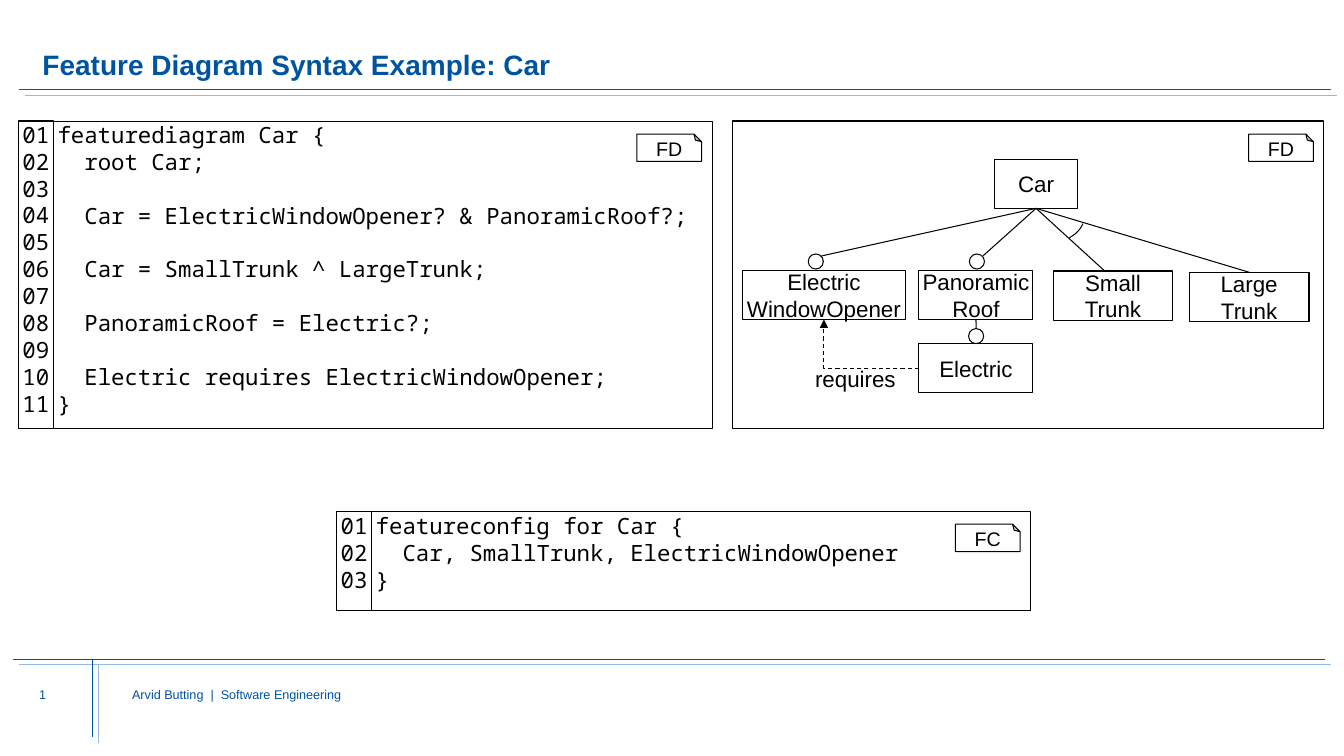
"""Build the slide on feature diagram syntax, with a car as the example."""
from dataclasses import dataclass
from typing import NamedTuple, Optional, Sequence

from lxml.etree import SubElement
from pptx import Presentation
from pptx.dml.color import RGBColor as Rgb
from pptx.enum.dml import MSO_LINE as Dash
from pptx.enum.shapes import MSO_CONNECTOR as Link, MSO_SHAPE as Kind
from pptx.enum.text import MSO_ANCHOR as Anchor, MSO_AUTO_SIZE as Fit, PP_ALIGN as Align
from pptx.oxml.ns import qn
from pptx.util import Cm, Pt

Spot = NamedTuple("Spot", [("x", float), ("y", float)])
Area = NamedTuple("Area", [("x", float), ("y", float), ("w", float), ("h", float)])
Face = NamedTuple("Face", [("font", str), ("size", float), ("color", Rgb), ("bold", bool)])
Node = NamedTuple("Node", [("rows", Sequence[str]), ("x", float), ("y", float), ("w", float)])


class Row(NamedTuple):
    text: str
    depth: int = 0
    gap: int = 0


class Edge(NamedTuple):
    start: str
    end: Spot
    goal: Optional[str] = None


@dataclass(frozen=True)
class Theme:
    blue: Rgb = Rgb(0x00, 0x54, 0x9F)
    light: Rgb = Rgb(0x8E, 0xBA, 0xE5)
    black: Rgb = Rgb(0, 0, 0)
    white: Rgb = Rgb(255, 255, 255)
    head: Face = Face("Arial", 20, blue, True)
    code: Face = Face("Noto Sans Mono", 16, black, False)
    node: Face = Face("Arial", 16, black, False)
    tag: Face = Face("Arial", 14, black, False)
    foot: Face = Face("Arial", 9, blue, False)
    thin: float = 0.75
    hair: float = 0.5
    step: float = 19.2


THEME = Theme()
NUM_W, NODE_H, DOT = 0.89, 1.24, 0.38
BODY = Area(1.35, 3.05, 16.61, 7.75)
CONFIG = Area(9.37, 12.9, 16.61, 2.49)
FRAME = Area(18.47, 3.05, 14.88, 7.75)
SHIFT = Spot(0.15, 0.14)
RULES = [(Spot(0.48, 2.26), Spot(33.55, 2.26)), (Spot(0.33, 16.61), Spot(33.38, 16.61)),
         (Spot(2.34, 16.61), Spot(2.34, 18.57))]
DIAGRAM = [
    Row("featurediagram Car {"),
    Row("root Car;", 1),
    Row("Car = ElectricWindowOpener? & PanoramicRoof?;", 1, 1),
    Row("Car = SmallTrunk ^ LargeTrunk;", 1, 1),
    Row("PanoramicRoof = Electric?;", 1, 1),
    Row("Electric requires ElectricWindowOpener;", 1, 1),
    Row("}"),
]
CHOICE = [Row("featureconfig for Car {"), Row("Car, SmallTrunk, ElectricWindowOpener", 1), Row("}")]
NODES = {
    "roof": Node(["Panoramic", "Roof"], 23.16, 6.81, 2.87),
    "small": Node(["Small", "Trunk"], 26.54, 6.83, 3.02),
    "car": Node(["Car"], 25.07, 4.01, 2.08),
    "large": Node(["Large", "Trunk"], 29.97, 6.86, 3.02),
    "power": Node(["Electric"], 23.16, 8.66, 2.87),
    "window": Node(["Electric WindowOpener"], 18.72, 6.81, 4.09),
}
EDGES = [Edge("car", Spot(24.77, 6.45)), Edge("car", Spot(27.84, 6.83)), Edge("car", Spot(20.7, 6.45)),
         Edge("car", Spot(31.48, 6.86), "large"), Edge("roof", Spot(24.6, 8.28))]
DOTS = [Spot(20.37, 6.4), Spot(24.43, 6.4), Spot(24.41, 8.28)]
TAGS = [("FD", Spot(16.05, 3.38)), ("FD", Spot(31.47, 3.38)), ("FC", Spot(24.08, 13.21))]


def place(shape, area: Area) -> None:
    shape.left, shape.top, shape.width, shape.height = map(Cm, area)


def write(shape, rows: Sequence[Row], face: Face, align=Align.LEFT, anchor=Anchor.TOP,
          pad: Spot = Spot(0, 0), space: float = 1.0, wrap: bool = True) -> None:
    frame = shape.text_frame
    frame.word_wrap, frame.auto_size, frame.vertical_anchor = wrap, Fit.NONE, anchor
    frame.margin_left, frame.margin_right = Cm(pad.x), Cm(0)
    frame.margin_top = frame.margin_bottom = Cm(pad.y)
    for i, row in enumerate(rows):
        para = frame.add_paragraph() if i else frame.paragraphs[0]
        para.alignment, para.line_spacing = align, space
        para.space_before = Pt(row.gap * THEME.step)
        props = para._p.get_or_add_pPr()
        props.set("marL", str(int(Pt(row.depth * THEME.step))))
        props.set("indent", "0")
        SubElement(props, qn("a:buNone"))
        run = para.add_run()
        run.text = row.text
        run.font.name, run.font.size, run.font.bold = face.font, Pt(face.size), face.bold
        run.font.color.rgb = face.color


def outline(shape) -> None:
    shape.line.color.rgb = THEME.black
    shape.line.width = Pt(THEME.thin)


def draw(slide, kind, area: Area, fill: Optional[Rgb] = None):
    shape = slide.shapes.add_shape(kind, *map(Cm, area))
    shape.shadow.inherit = False
    shape.fill.background()
    if fill is not None:
        shape.fill.solid()
        shape.fill.fore_color.rgb = fill
    outline(shape)
    return shape


def join(slide, start: Spot, end: Spot, color: Rgb, width: float, kind=Link.STRAIGHT):
    line = slide.shapes.add_connector(kind, *map(Cm, (*start, *end)))
    line.line.color.rgb = color
    line.line.width = Pt(width)
    SubElement(line._element.spPr, qn("a:effectLst"))
    return line


def label(slide, area: Area, text: str, face: Face, pad: Spot = Spot(0, 0)) -> None:
    write(slide.shapes.add_textbox(*map(Cm, area)), [Row(text)], face, pad=pad)


def code(slide, shape, area: Area, rows: Sequence[Row]) -> None:
    place(shape, area)
    outline(shape)
    count = sum(1 + row.gap for row in rows)
    strip = draw(slide, Kind.RECTANGLE, Area(area.x - NUM_W, area.y, NUM_W, area.h))
    write(shape, rows, THEME.code, pad=Spot(0.1, 0))
    write(strip, [Row(f"{n:02}") for n in range(1, count + 1)], THEME.code, Align.CENTER)


def badge(slide, text: str, spot: Spot) -> None:
    shape = draw(slide, Kind.FOLDED_CORNER, Area(*spot, 1.63, 0.69), THEME.white)
    props = shape._element.spPr
    props.xfrm.set("flipV", "1")
    fold = SubElement(props.find(qn("a:prstGeom")).find(qn("a:avLst")), qn("a:gd"))
    fold.set("name", "adj")
    fold.set("fmla", "val 27600")
    write(shape, [Row(text)], THEME.tag, Align.CENTER, Anchor.MIDDLE, space=0.7, wrap=False)
    shape.text_frame._txBody.bodyPr.set("rot", "10800000")


def tree(slide) -> None:
    draw(slide, Kind.RECTANGLE, FRAME)
    boxes = {}
    for name, node in NODES.items():
        boxes[name] = draw(slide, Kind.RECTANGLE, Area(node.x, node.y, node.w, NODE_H))
        write(boxes[name], [Row(text) for text in node.rows], THEME.node, Align.CENTER,
              Anchor.MIDDLE, Spot(0, 0.13))
    for edge in EDGES:
        line = join(slide, edge.end, edge.end, THEME.black, THEME.thin)
        line.begin_connect(boxes[edge.start], 2)
        if edge.goal:
            line.end_connect(boxes[edge.goal], 0)
    for dot in DOTS:
        draw(slide, Kind.OVAL, Area(*dot, DOT, DOT))
    arc = draw(slide, Kind.ARC, Area(25.63, 4.78, 1.7, 1.32))
    arc.adjustments[0], arc.adjustments[1] = 8.2, 29.67
    need = join(slide, Spot(23.16, 9.28), Spot(20.77, 8.05), THEME.black, THEME.thin, Link.ELBOW)
    need.begin_connect(boxes["power"], 1)
    need.end_connect(boxes["window"], 2)
    need.line.dash_style = Dash.DASH
    SubElement(need.line._get_or_add_ln(), qn("a:tailEnd")).set("type", "triangle")
    props = need._element.spPr
    props.find(qn("a:prstGeom")).set("prst", "bentConnector2")
    props.xfrm.attrib.clear()
    props.xfrm.set("rot", "10800000")
    label(slide, Area(20.29, 9.07, 3.35, 1.22), "requires", THEME.node, Spot(0.25, 0.13))


def main() -> None:
    deck = Presentation()
    deck.slide_width, deck.slide_height = Cm(33.87), Cm(19.05)
    slide = deck.slides.add_slide(deck.slide_layouts[1])
    title, body = slide.placeholders
    place(title, Area(1.07, 0.56, 31.9, 1.5))
    write(title, [Row("Feature Diagram Syntax Example: Car")], THEME.head, anchor=Anchor.BOTTOM, space=0.9)
    for start, end in RULES:
        join(slide, start, end, THEME.blue, THEME.hair)
        join(slide, *(Spot(p.x + SHIFT.x, p.y + SHIFT.y) for p in (start, end)), THEME.light, THEME.hair)
    label(slide, Area(3.33, 17.3, 19.46, 1.75), "Arvid Butting  |  Software Engineering", THEME.foot)
    label(slide, Area(0.99, 17.3, 2.03, 1.09), "1", THEME.foot)
    code(slide, body, BODY, DIAGRAM)
    code(slide, draw(slide, Kind.RECTANGLE, CONFIG), CONFIG, CHOICE)
    tree(slide)
    for text, spot in TAGS:
        badge(slide, text, spot)
    deck.save("out.pptx")


if __name__ == "__main__":
    main()
